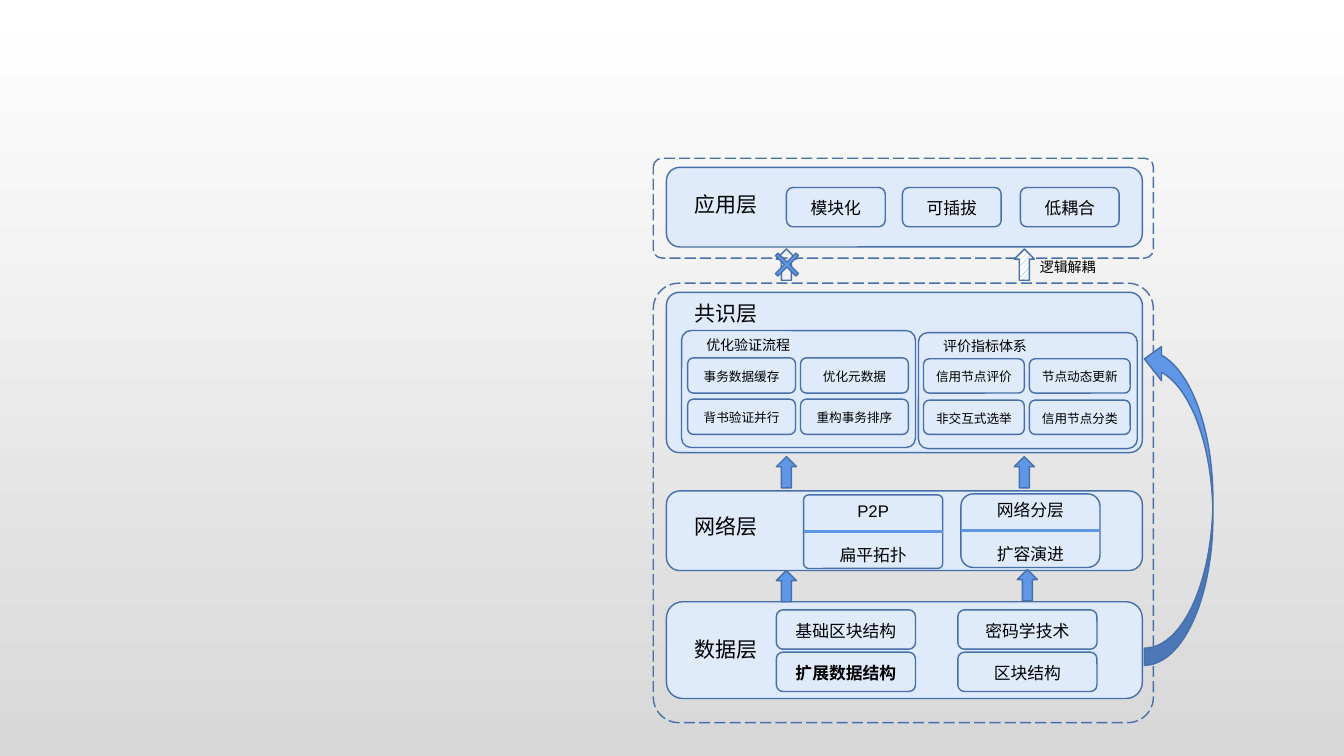
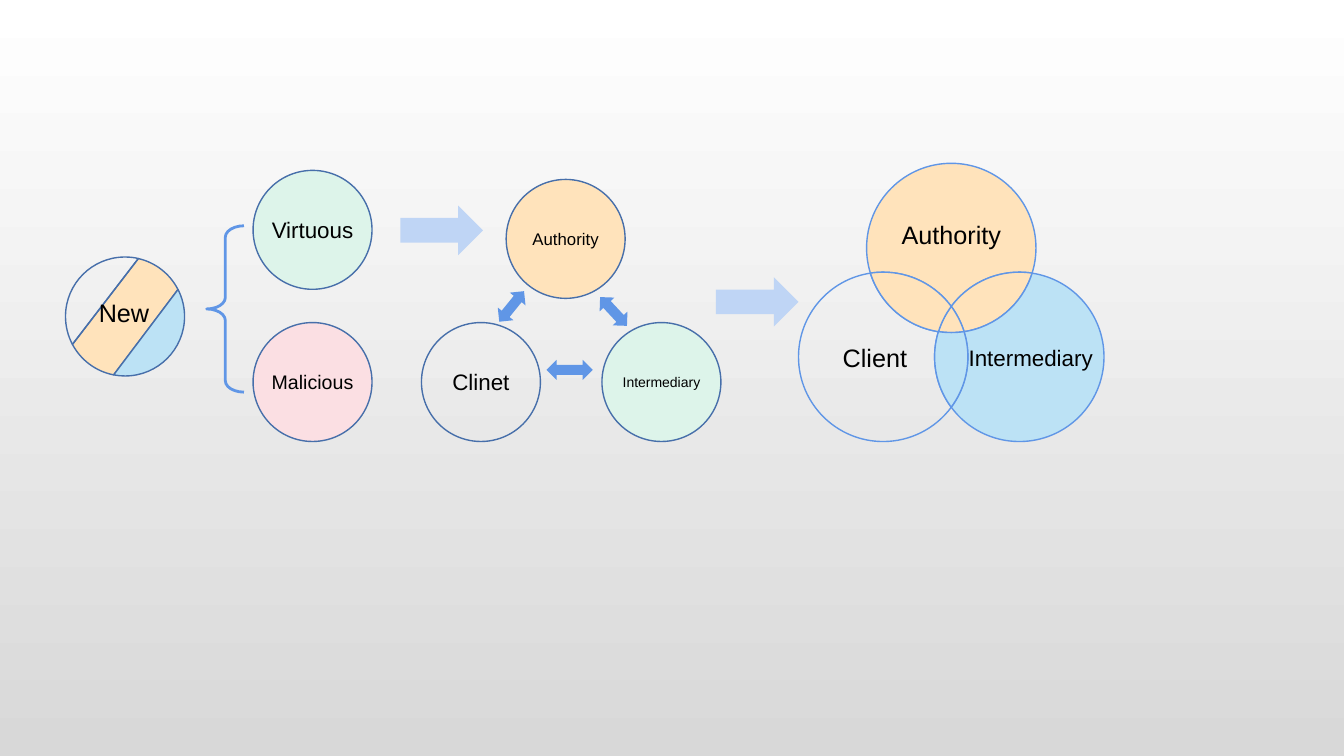
from math import atan2, ceil, cos, floor, hypot, pi, sin, tan

from pptx import Presentation
from pptx.dml.color import RGBColor
from pptx.enum.dml import MSO_LINE, MSO_PATTERN
from pptx.enum.shapes import MSO_CONNECTOR, MSO_SHAPE
from pptx.enum.text import MSO_ANCHOR, PP_ALIGN
from pptx.oxml.ns import qn
from pptx.util import Inches, Pt
from lxml.etree import SubElement

COLORS = {
    "white": "FFFFFF", "gray": "D8D8D8", "black": "000000",
    "outline": "476FAA", "blue": "6096E6", "pale_blue": "DFEAFA",
    "soft_blue": "BFD5F5", "sky": "BCE2F5", "orange": "FFE3BB",
    "green": "DDF4EA", "pink": "FBDFE3",
}
FONT = "Arial"
NODE = 1.18


def color(name):
    return RGBColor.from_string(COLORS[name])


def add_slide(presentation):
    slide = presentation.slides.add_slide(presentation.slide_layouts[6])
    fill = slide.background.fill
    fill.gradient()
    fill.gradient_angle = 270
    for stop, name in zip(fill.gradient_stops, ("white", "gray")):
        stop.color.rgb = color(name)
    return slide


def write(shape, text, size=12, bold=False, spacing=1.0, gap=0):
    """Centre the lines of text in a shape, with gap points between them."""
    frame = shape.text_frame
    frame.word_wrap = True
    frame.vertical_anchor = MSO_ANCHOR.MIDDLE
    frame.margin_left = frame.margin_right = 0
    frame.margin_top = frame.margin_bottom = 0
    for index, line in enumerate(text.split("\n")):
        paragraph = frame.add_paragraph() if index else frame.paragraphs[0]
        paragraph.alignment = PP_ALIGN.CENTER
        paragraph.line_spacing = spacing
        if index:
            paragraph.space_before = Pt(gap)
        run = paragraph.add_run()
        run.text = line
        run.font.size, run.font.bold, run.font.name = Pt(size), bold, FONT
        run.font.color.rgb = color("black")


def style(shape, fill=None, line="outline", width=1):
    shape.shadow.inherit = False
    if fill:
        shape.fill.solid()
        shape.fill.fore_color.rgb = color(fill)
    else:
        shape.fill.background()
    if line:
        shape.line.color.rgb = color(line)
        shape.line.width = Pt(width)
    else:
        shape.line.fill.background()


def add_shape(slide, kind, box, text="", rotation=0, adjust=(), fill=None,
              line="outline", width=1, **text_format):
    shape = slide.shapes.add_shape(kind, *map(Inches, box))
    shape.rotation = rotation
    for index, value in enumerate(adjust):
        shape.adjustments[index] = value
    style(shape, fill, line, width)
    if text:
        write(shape, text, **text_format)
    return shape


def add_label(slide, box, text, **text_format):
    write(slide.shapes.add_textbox(*map(Inches, box)), text, **text_format)


def add_block(slide, box, text="", radius=0.167, **text_format):
    add_shape(slide, MSO_SHAPE.ROUNDED_RECTANGLE, box, text, adjust=(radius,),
              fill="pale_blue", spacing=1.1, **text_format)


def add_frame(slide, box, radius):
    frame = add_shape(slide, MSO_SHAPE.ROUNDED_RECTANGLE, box, adjust=(radius,))
    frame.line.dash_style = MSO_LINE.LONG_DASH


def add_layer(slide, box, title, title_top, radius=0.167):
    left, top = box[:2]
    add_block(slide, box, radius=radius)
    add_label(slide, (left, top + title_top, NODE, 0.35), title, size=15)


def add_application_layer(slide, box):
    left, top = box[:2]
    add_layer(slide, box, "应用层", 0.19)
    for offset, text in ((1.19, "模块化"), (2.34, "可插拔"), (3.51, "低耦合")):
        add_block(slide, (left + offset, top + 0.2, 0.98, 0.39), text)


def add_consensus_panel(slide, box, title, rows, first_cell):
    """Draw a titled two by two grid; first_cell is relative to the panel."""
    left, top = box[:2]
    x, y, width, height = first_cell
    add_block(slide, box, radius=0.08)
    add_label(slide, (left, top + y - 0.26, 1.32, 0.27), title, size=10)
    for row, texts in enumerate(rows):
        for column, text in enumerate(texts):
            cell = (left + x + column * (width + 0.05), top + y + row * 0.41,
                    width, height)
            add_block(slide, cell, text, size=9)


def add_consensus_layer(slide, box):
    left, top = box[:2]
    add_layer(slide, box, "共识层", 0.03, radius=0.079)
    add_consensus_panel(slide, (left + 0.15, top + 0.38, 2.32, 1.16), "优化验证流程",
                        (("事务数据缓存", "优化元数据"), ("背书验证并行", "重构事务排序")),
                        (0.06, 0.27, 1.07, 0.35))
    add_consensus_panel(slide, (left + 2.5, top + 0.4, 2.17, 1.15), "评价指标体系",
                        (("信用节点评价", "节点动态更新"), ("非交互式选举", "信用节点分类")),
                        (0.05, 0.26, 1.0, 0.34))


def add_network_layer(slide, box):
    left, top = box[:2]
    add_layer(slide, box, "网络层", 0.17)
    for offset, rise, text, radius in ((1.36, 0.04, "P2P\n扁平拓扑", 0.067),
                                       (2.92, 0.03, "网络分层\n扩容演进", 0.167)):
        x, y = left + offset, top + rise
        add_block(slide, (x, y, 1.38, 0.73), text, radius=radius, gap=16)
        divider = slide.shapes.add_connector(
            MSO_CONNECTOR.STRAIGHT, *map(Inches, (x, y + 0.36, x + 1.38, y + 0.36)))
        divider.line.color.rgb = color("blue")
        divider.line.width = Pt(2)
        SubElement(divider._element.spPr, qn("a:effectLst"))


def add_data_layer(slide, box):
    left, top = box[:2]
    add_layer(slide, box, "数据层", 0.29)
    columns = (("基础区块结构", "扩展数据结构"), ("密码学技术", "区块结构"))
    for column, texts in enumerate(columns):
        for row, text in enumerate(texts):
            cell = (left + 1.09 + 1.8 * column, top + 0.08 + 0.42 * row, 1.38, 0.39)
            add_block(slide, cell, text, bold=text == "扩展数据结构")


def add_layer_arrows(slide):
    def up_arrow(left, top, fill="blue"):
        return add_shape(slide, MSO_SHAPE.UP_ARROW, (left, top, 0.2, 0.31), fill=fill)

    for left, top in ((7.7, 5.66), (10.09, 5.65), (7.7, 4.53), (10.06, 4.53)):
        up_arrow(left, top)
    up_arrow(7.7, 2.47, fill=None)
    add_shape(slide, MSO_SHAPE.MATH_MULTIPLY, (7.61, 2.43, 0.39, 0.39),
              adjust=(0.09,), fill="blue")
    hatched = up_arrow(10.06, 2.47).fill
    hatched.patterned()
    hatched.pattern = MSO_PATTERN.WIDE_UPWARD_DIAGONAL
    hatched.fore_color.rgb = color("blue")
    hatched.back_color.rgb = color("white")
    add_label(slide, (10.16, 2.51, 0.86, 0.27), "逻辑解耦", size=10)
    add_shape(slide, MSO_SHAPE.CURVED_RIGHT_ARROW, (11.35, 3.39, 0.68, 3.21),
              rotation=180, fill="blue")


def build_architecture(slide):
    left, width = 6.61, 4.72
    add_frame(slide, (6.48, 1.57, 4.96, 0.99), 0.087)
    add_application_layer(slide, (left, 1.66, width, 0.79))
    add_consensus_layer(slide, (left, 2.9, width, 1.59))
    add_network_layer(slide, (left, 4.87, width, 0.79))
    add_data_layer(slide, (left, 5.97, width, 0.96))
    add_frame(slide, (6.48, 2.81, 4.96, 4.36), 0.058)
    add_layer_arrows(slide)


def arc_curves(center, start, end, clockwise):
    """Bezier curves (control, control, end) for an arc, split at its extremes."""
    x, y = center
    radius = hypot(start[0] - x, start[1] - y)
    first, last = (atan2(point[1] - y, point[0] - x) for point in (start, end))
    if not clockwise:
        return [(b, a, stop) for (a, b, _), stop in
                zip(reversed(arc_curves(center, end, start, True)),
                    [curve[2] for curve in arc_curves(center, end, start, True)][-2::-1]
                    + [end])]
    if last < first:
        last += 2 * pi
    quarter = pi / 2
    turns = range(floor(first / quarter) + 1, ceil(last / quarter))
    angles = [first] + [turn * quarter for turn in turns] + [last]
    curves = []
    for a, b in zip(angles, angles[1:]):
        pull = 4 / 3 * tan((b - a) / 4)
        curves.append(tuple((x + radius * u, y + radius * v) for u, v in (
            (cos(a) - pull * sin(a), sin(a) + pull * cos(a)),
            (cos(b) + pull * sin(b), sin(b) - pull * cos(b)), (cos(b), sin(b)))))
    return curves


def add_region(slide, edges, text="", size=18, **look):
    """Draw a closed outline; an edge is (start, end, centre or None, clockwise)."""
    curves = []
    for start, end, center, clockwise in edges:
        curves += arc_curves(center, start, end, clockwise) if center else [(end,)]
    corners = [tuple(map(Inches, curve[-1])) for curve in curves]
    builder = slide.shapes.build_freeform(*corners[-1])
    builder.add_line_segments(corners, close=True)
    shape = builder.convert_to_shape()
    for segment, curve in zip(list(shape._element.iter(qn("a:lnTo"))), curves):
        if len(curve) == 3:
            bezier = SubElement(segment.getparent(), qn("a:cubicBezTo"))
            segment.getparent().replace(segment, bezier)
            for x, y in curve:
                SubElement(bezier, qn("a:pt"), x=str(Inches(x) - shape.left),
                           y=str(Inches(y) - shape.top))
    style(shape, **look)
    if text:
        write(shape, text, size=size)


def crossings(first, second, radius):
    """The two points where circles of one radius meet."""
    dx, dy = second[0] - first[0], second[1] - first[1]
    distance = hypot(dx, dy)
    reach = (radius ** 2 - distance ** 2 / 4) ** 0.5 / distance
    x, y = (first[0] + second[0]) / 2, (first[1] + second[1]) / 2
    return (x + dy * reach, y - dx * reach), (x - dy * reach, y + dx * reach)


def add_venn(slide, box):
    left, top, width, height = box
    radius = 0.84
    centers = {
        "A": (left + width / 2, top + radius),
        "C": (left + radius, top + height - radius),
        "I": (left + width - radius, top + height - radius),
    }
    corners = {}
    for pair in ("CA", "AI", "IC"):
        corners[pair], corners[pair.lower()] = crossings(
            centers[pair[0]], centers[pair[1]], radius)
    # Corners alternate with the circle to follow, clockwise where marked +.
    regions = (
        ("CA A ai I IC C+", None, "Client", 18),
        ("CA A+ AI I ic C", "orange", "Authority", 18),
        ("AI A+ ca C ic I+", "orange", "", 18),
        ("AI I+ IC C ca A", "sky", " Intermediary", 16),
        ("ic C+ ca A+ ai I+", "orange", "", 18),
        ("ca C+ IC I+ ai A", "sky", "", 18),
        ("CA A ai I+ ic C", "orange", "", 18),
    )
    for route, fill, text, size in regions:
        parts = route.split()
        starts, arcs = parts[::2], parts[1::2]
        edges = [(corners[start], corners[end], centers[arc[0]], "+" in arc)
                 for start, end, arc in zip(starts, starts[1:] + starts[:1], arcs)]
        add_region(slide, edges, text, size, fill=fill, line="blue")


def add_striped_node(slide, box):
    left, top, size, _ = box
    center = (left + size / 2, top + size / 2)

    def rim(degrees):
        angle = degrees * pi / 180
        return center[0] + size / 2 * cos(angle), center[1] + size / 2 * sin(angle)

    upper_top, upper_end, lower_top, lower_end = map(rim, (-77, 152, -27, 101))
    add_region(slide, ((upper_top, lower_top, center, True),
                       (lower_top, lower_end, None, False),
                       (lower_end, upper_end, center, True),
                       (upper_end, upper_top, None, False)), fill="orange")
    for start, end, fill in ((upper_top, upper_end, None), (lower_end, lower_top, "sky")):
        add_region(slide, ((start, end, None, False), (end, start, center, True)), fill=fill)
    add_label(slide, (left + 0.21, top + 0.35, 0.74, 0.4), "New", size=18)


def add_node(slide, left, top, text, size, fill):
    add_shape(slide, MSO_SHAPE.OVAL, (left, top, NODE, NODE), text, size=size, fill=fill)


def add_role_triangle(slide, box):
    left, top, width, height = box
    base = top + height - NODE
    add_node(slide, left, base, "Clinet", 16, None)
    add_node(slide, left + 0.84, top, "Authority", 12, "orange")
    add_node(slide, left + width - NODE, base, "Intermediary", 10, "green")
    for x, y, length, rotation in ((0.7, 1.16, 0.39, 309), (1.71, 1.21, 0.39, 47),
                                   (1.24, 1.79, 0.46, 0)):
        add_shape(slide, MSO_SHAPE.LEFT_RIGHT_ARROW, (left + x, top + y, length, 0.2),
                  rotation=rotation, fill="blue", line=None)


def build_roles(slide):
    add_venn(slide, (7.92, 1.62, 3.03, 2.76))
    add_node(slide, 2.51, 1.69, "Virtuous", 16, "green")
    add_node(slide, 2.51, 3.2, "Malicious", 14, "pink")
    add_striped_node(slide, (0.65, 2.55, NODE, NODE))
    add_shape(slide, MSO_SHAPE.LEFT_BRACE, (2.05, 2.24, 0.37, 1.65),
              adjust=(0.307, 0.5), line="blue", width=2)
    add_role_triangle(slide, (4.18, 1.78, 2.97, 2.6))
    for left, top in ((3.97, 2.04), (7.1, 2.75)):
        add_shape(slide, MSO_SHAPE.RIGHT_ARROW, (left, top, 0.82, 0.49),
                  fill="soft_blue", line=None)


def main():
    presentation = Presentation()
    presentation.slide_width, presentation.slide_height = Inches(13.33), Inches(7.5)
    for build in (build_architecture, build_roles):
        build(add_slide(presentation))
    presentation.save("out.pptx")


if __name__ == "__main__":
    main()
